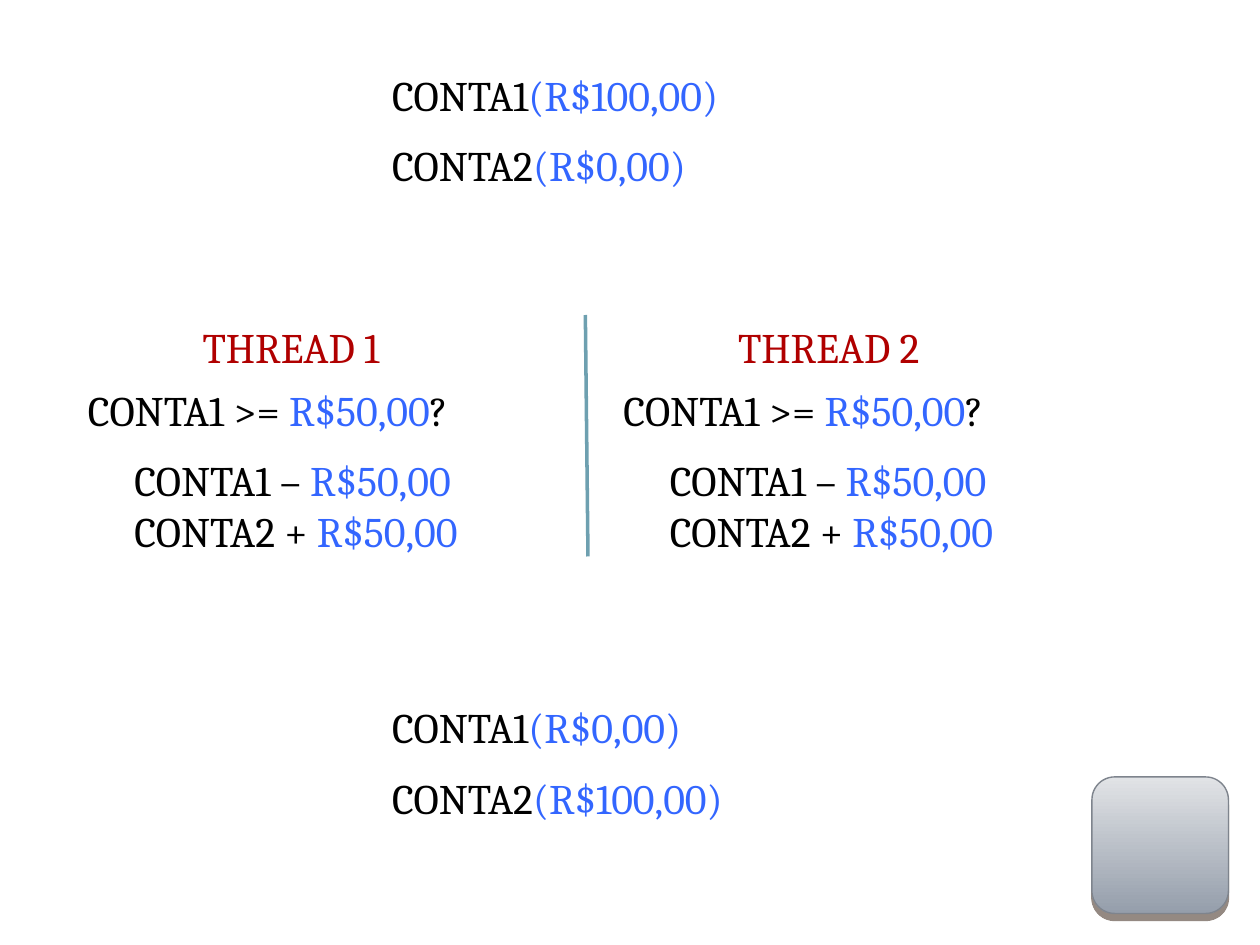
from lxml import etree
from pptx import Presentation
from pptx.dml.color import RGBColor
from pptx.enum import shapes, text
from pptx.oxml import ns
from pptx.util import Pt

BLACK = RGBColor(0x00, 0x00, 0x00)
BLUE = RGBColor(0x33, 0x66, 0xFF)
RED = RGBColor(0xB0, 0x00, 0x00)
TEAL = RGBColor(0x6E, 0xA0, 0xB0)
CARD_TOP = RGBColor(0xE1, 0xE3, 0xE6)
CARD_BOTTOM = RGBColor(0x95, 0x9E, 0xAB)
CARD_EDGE = RGBColor(0x7E, 0x84, 0x8D)
CARD_SHADOW = RGBColor(0x4E, 0x3B, 0x30)
FONT = "Cambria"
GAP = 11.5
INDENT = 26.5


def add_lines(slide, left, top, width, height, lines):
    """Write lines of (space before, indent, coloured runs) in a text box."""
    box = slide.shapes.add_textbox(Pt(left), Pt(top), Pt(width), Pt(height))
    frame = box.text_frame
    frame.word_wrap = False
    frame.auto_size = text.MSO_AUTO_SIZE.NONE
    for index, (space, indent, runs) in enumerate(lines):
        paragraph = frame.paragraphs[0] if index == 0 else frame.add_paragraph()
        paragraph.font.name = FONT
        paragraph.font.size = Pt(24)
        paragraph.space_before = Pt(space)
        properties = paragraph._p.get_or_add_pPr()
        properties.set("marL", str(Pt(indent)))
        properties.set("indent", "0")
        for words, color in runs:
            run = paragraph.add_run()
            run.text = words
            run.font.color.rgb = color


def add_balances(slide, left, top, first, second):
    """Show the balance of both accounts."""
    add_lines(slide, left, top, 237, 77, [
        (0, 0, [("CONTA1", BLACK), (f"({first})", BLUE)]),
        (GAP, 0, [("CONTA2", BLACK), (f"({second})", BLUE)]),
    ])


def add_thread(slide, left, top, number, amount):
    """Show a thread heading with its check and its transfer steps."""
    add_lines(slide, left + 65.5, top, 141, 36,
              [(0, 0, [(f"THREAD {number}", RED)])])
    add_lines(slide, left, top + 36, 268.5, 106, [
        (0, 0, [("CONTA1 >= ", BLACK), (amount, BLUE), ("?", BLACK)]),
        (GAP, INDENT, [("CONTA1 – ", BLACK), (amount, BLUE)]),
        (0, INDENT, [("CONTA2 + ", BLACK), (amount, BLUE)]),
    ])


def add_divider(slide, left, top, width, height):
    """Draw the line between the two threads."""
    line = slide.shapes.add_connector(
        shapes.MSO_CONNECTOR.STRAIGHT,
        Pt(left), Pt(top), Pt(left + width), Pt(top + height))
    line.line.color.rgb = TEAL
    line.line.width = Pt(2)
    etree.SubElement(line._element.spPr, ns.qn("a:effectLst"))


def add_card(slide, left, top, size):
    """Draw the rounded gradient card with its hard shadow."""
    card = slide.shapes.add_shape(
        shapes.MSO_SHAPE.ROUNDED_RECTANGLE,
        Pt(left), Pt(top), Pt(size), Pt(size))
    card.fill.gradient()
    card.fill.gradient_angle = 270
    for stop, color in zip(card.fill.gradient_stops, (CARD_TOP, CARD_BOTTOM)):
        stop.color.rgb = color
    card.line.color.rgb = CARD_EDGE
    card.line.width = Pt(0.79)
    card.shadow.inherit = False
    effects = card._element.spPr.find(ns.qn("a:effectLst"))
    shadow = etree.SubElement(
        effects, ns.qn("a:outerShdw"), blurRad="0", dist=str(Pt(4)),
        dir="5400000", rotWithShape="0")
    color = etree.SubElement(shadow, ns.qn("a:srgbClr"), val=str(CARD_SHADOW))
    etree.SubElement(color, ns.qn("a:alpha"), val="60000")


def main():
    """Build the slide on two threads sharing two accounts."""
    presentation = Presentation()
    presentation.slide_width = Pt(720)
    presentation.slide_height = Pt(540)
    slide = presentation.slides.add_slide(presentation.slide_layouts[6])
    add_card(slide, 624, 444, 78)
    add_balances(slide, 217, 36, "R$100,00", "R$0,00")
    add_balances(slide, 217, 397.5, "R$0,00", "R$100,00")
    for number, left in enumerate((43.2, 349.2), 1):
        add_thread(slide, left, 180, number, "R$50,00")
    add_divider(slide, 334.5, 180, 1.5, 138)
    presentation.save("out.pptx")


if __name__ == "__main__":
    main()
